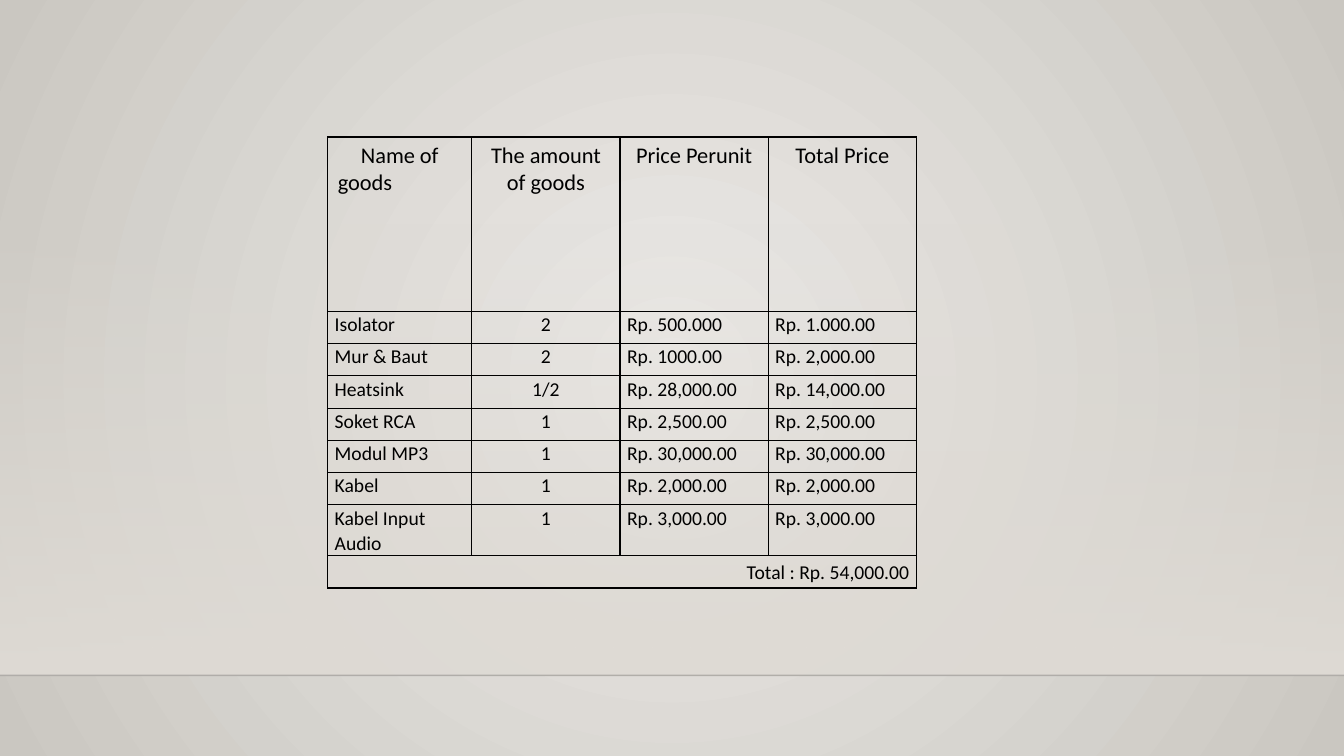
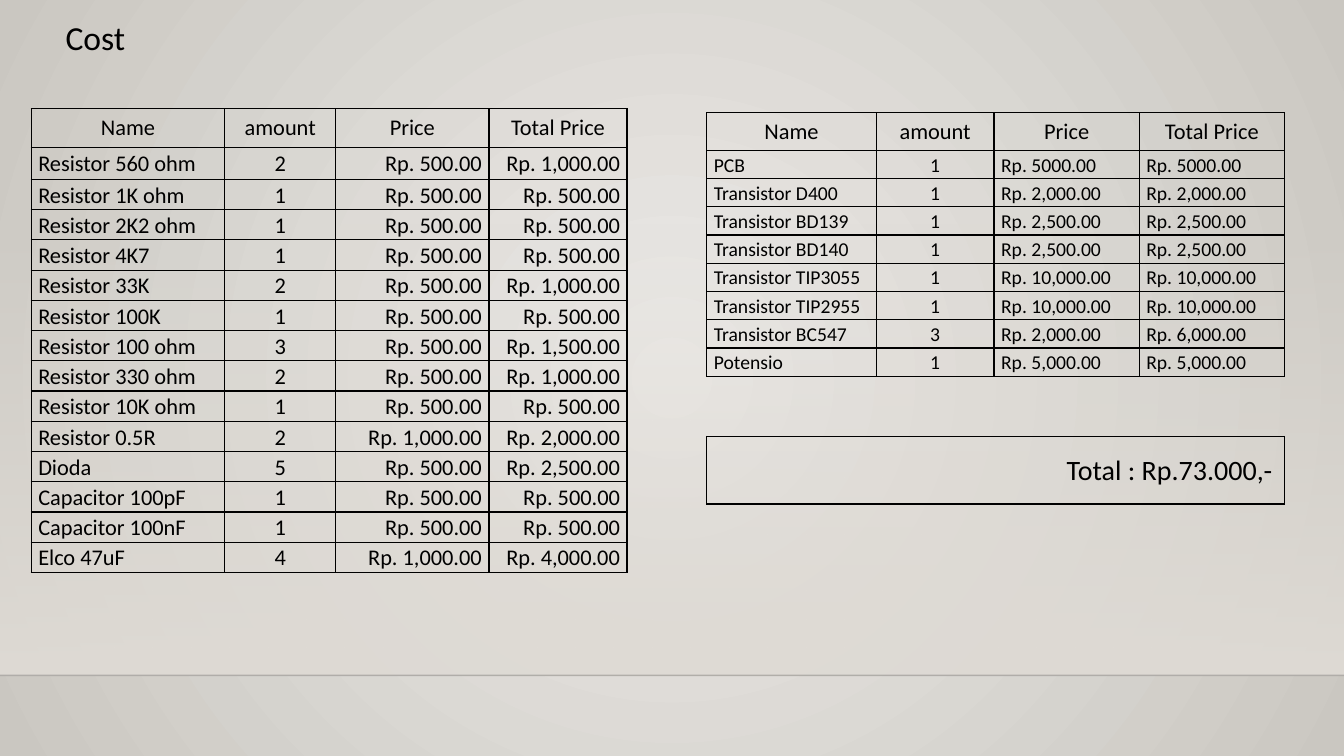
from lxml.etree import SubElement
from pptx import Presentation
from pptx.dml.color import RGBColor
from pptx.enum.shapes import MSO_CONNECTOR, MSO_SHAPE
from pptx.enum.text import MSO_ANCHOR, PP_ALIGN
from pptx.oxml import parse_xml
from pptx.oxml.ns import nsdecls, qn
from pptx.util import Inches, Pt

COLORS = {"text": "000000", "border": "000000", "glow": "ECEAE7",
          "edge": "CAC7C1", "wall": "DFDBD5", "floor": "000001"}
FONT = "Calibri"
LEFT, CENTER, RIGHT = PP_ALIGN.LEFT, PP_ALIGN.CENTER, PP_ALIGN.RIGHT
TOP, MIDDLE = MSO_ANCHOR.TOP, MSO_ANCHOR.MIDDLE

GOODS_HEAD = ("Name of\ngoods", "The amount of goods", "Price Perunit", "Total Price")
GOODS = [
    ("Isolator", "2", "Rp. 500.000", "Rp. 1.000.00"),
    ("Mur & Baut", "2", "Rp. 1000.00", "Rp. 2,000.00"),
    ("Heatsink", "1/2", "Rp. 28,000.00", "Rp. 14,000.00"),
    ("Soket RCA", "1", "Rp. 2,500.00", "Rp. 2,500.00"),
    ("Modul MP3", "1", "Rp. 30,000.00", "Rp. 30,000.00"),
    ("Kabel", "1", "Rp. 2,000.00", "Rp. 2,000.00"),
    ("Kabel Input Audio", "1", "Rp. 3,000.00", "Rp. 3,000.00"),
]
GOODS_TOTAL = "Total : Rp. 54,000.00"

COST_HEAD = ("Name", "amount", "Price", "Total Price")
PASSIVES = [
    ("Resistor 560 ohm", "2", "Rp. 500.00", "Rp. 1,000.00"),
    ("Resistor 1K ohm", "1", "Rp. 500.00", "Rp. 500.00"),
    ("Resistor 2K2 ohm", "1", "Rp. 500.00", "Rp. 500.00"),
    ("Resistor 4K7", "1", "Rp. 500.00", "Rp. 500.00"),
    ("Resistor 33K", "2", "Rp. 500.00", "Rp. 1,000.00"),
    ("Resistor 100K", "1", "Rp. 500.00", "Rp. 500.00"),
    ("Resistor 100 ohm", "3", "Rp. 500.00", "Rp. 1,500.00"),
    ("Resistor 330 ohm", "2", "Rp. 500.00", "Rp. 1,000.00"),
    ("Resistor 10K ohm", "1", "Rp. 500.00", "Rp. 500.00"),
    ("Resistor 0.5R", "2", "Rp. 1,000.00", "Rp. 2,000.00"),
    ("Dioda", "5", "Rp. 500.00", "Rp. 2,500.00"),
    ("Capacitor 100pF", "1", "Rp. 500.00", "Rp. 500.00"),
    ("Capacitor 100nF", "1", "Rp. 500.00", "Rp. 500.00"),
    ("Elco 47uF", "4", "Rp. 1,000.00", "Rp. 4,000.00"),
]
ACTIVES = [
    ("PCB", "1", "Rp. 5000.00", "Rp. 5000.00"),
    ("Transistor D400", "1", "Rp. 2,000.00", "Rp. 2,000.00"),
    ("Transistor BD139", "1", "Rp. 2,500.00", "Rp. 2,500.00"),
    ("Transistor BD140", "1", "Rp. 2,500.00", "Rp. 2,500.00"),
    ("Transistor TIP3055", "1", "Rp. 10,000.00", "Rp. 10,000.00"),
    ("Transistor TIP2955", "1", "Rp. 10,000.00", "Rp. 10,000.00"),
    ("Transistor BC547", "3", "Rp. 2,000.00", "Rp. 6,000.00"),
    ("Potensio", "1", "Rp. 5,000.00", "Rp. 5,000.00"),
]
COST_TITLE = "Cost"
COST_TOTAL = "Total : Rp.73.000,-"


def rgb(name):
    return RGBColor.from_string(COLORS[name])


def set_gradient(fill, *names):
    fill.gradient()
    for stop, name in zip(fill.gradient_stops, names):
        stop.color.rgb = rgb(name)


def set_alpha(element, percent):
    """Make the first RGB colour inside element partly transparent."""
    color = next(element.iter(qn("a:srgbClr")))
    SubElement(color, qn("a:alpha"), val=str(percent * 1000))


def style_master(prs, slide):
    """Give the master its radial background, wall band and floor line."""
    master = prs.slide_master
    set_gradient(master.background.fill, "glow", "edge")
    lin = next(master.element.iter(qn("a:lin")))
    lin.getparent().replace(lin, parse_xml(
        f'<a:path {nsdecls("a")} path="circle">'
        '<a:fillToRect l="50000" t="50000" r="50000" b="50000"/></a:path>'))

    floor_y = Inches(6.7)
    top = Inches(2.21)
    wall = slide.shapes.add_shape(MSO_SHAPE.RECTANGLE, 0, top, prs.slide_width, floor_y - top)
    wall.shadow.inherit = False
    wall.line.fill.background()
    set_gradient(wall.fill, "wall", "wall")
    wall.fill.gradient_angle = 270
    set_alpha(wall.element.spPr, 0)

    floor = slide.shapes.add_connector(MSO_CONNECTOR.STRAIGHT, 0, floor_y, prs.slide_width, floor_y)
    floor.line.color.rgb = rgb("floor")
    floor.line.width = Pt(1)
    set_alpha(floor.element.spPr, 20)
    SubElement(floor.element.spPr, qn("a:effectLst"))

    # Master shapes have no add methods, so both parts move there behind the placeholders.
    for i, sp in enumerate((wall, floor)):
        master.shapes.element.insert(2 + i, sp.element)


def format_text(tf, size, align, spacing=None):
    for p in tf.paragraphs:
        p.alignment = align
        p.line_spacing = spacing
        for r in p.runs:
            r.font.name = FONT
            r.font.size = Pt(size)
            r.font.bold = False
            r.font.color.rgb = rgb("text")


def add_grid(slide, left, top, widths, heights):
    """Add an unfilled table with thin borders round every cell."""
    table = slide.shapes.add_table(
        len(heights), len(widths), Inches(left), Inches(top),
        Inches(sum(widths)), Inches(sum(heights))).table
    table.first_row = table.horz_banding = False
    for column, width in zip(table.columns, widths):
        column.width = Inches(width)
    for row, height in zip(table.rows, heights):
        row.height = Inches(height)
    for cell in table.iter_cells():
        cell.fill.background()
        for i, side in enumerate("LRTB"):
            cell.fill._xPr.insert(i, parse_xml(
                f'<a:ln{side} {nsdecls("a")} w="{Pt(1)}"><a:solidFill>'
                f'<a:srgbClr val="{COLORS["border"]}"/></a:solidFill></a:ln{side}>'))
    return table


def fill_cell(cell, text, size, align, anchor):
    cell.text_frame.text = text
    cell.vertical_anchor = anchor
    cell.margin_left = cell.margin_right = Inches(0.07)
    cell.margin_top = cell.margin_bottom = 0
    format_text(cell.text_frame, size, align, 1.07)


def fill_table(table, head, rows, size, price_align, anchor):
    for cell, text in zip(table.rows[0].cells, head):
        cell.text_frame.text = text
        format_text(cell.text_frame, 16, CENTER)
    aligns = (LEFT, CENTER, price_align, price_align)
    for r, row in enumerate(rows, 1):
        for c, (text, align) in enumerate(zip(row, aligns)):
            fill_cell(table.cell(r, c), text, size, align, anchor)


def build_goods(slide):
    heights = [1.73] + [0.32] * 6 + [0.5, 0.32]
    table = add_grid(slide, 3.25, 1.36, [1.43] + [1.47] * 3, heights)
    fill_table(table, GOODS_HEAD, GOODS, 14, LEFT, TOP)
    table.cell(0, 0).text_frame.paragraphs[1].alignment = LEFT
    total = table.cell(len(heights) - 1, 0)
    total.merge(table.cell(len(heights) - 1, 3))
    fill_cell(total, GOODS_TOTAL, 14, RIGHT, MIDDLE)


def build_cost(slide):
    title = slide.shapes.title
    title.left, title.top, title.width, title.height = map(Inches, (0.55, 0.12, 1, 0.5))
    tf = title.text_frame
    tf.text = COST_TITLE
    tf.vertical_anchor = TOP
    format_text(tf, 24, LEFT)

    table = add_grid(slide, 0.31, 1.08, [1.92, 1.1, 1.52, 1.37],
                     [0.38, 0.32] + [0.3] * (len(PASSIVES) - 1))
    fill_table(table, COST_HEAD, PASSIVES, 16, RIGHT, MIDDLE)

    right_x = 7.01
    widths = [1.68, 1.17, 1.44, 1.44]
    table = add_grid(slide, right_x, 1.12, widths, [0.37] + [0.28] * len(ACTIVES))
    fill_table(table, COST_HEAD, ACTIVES, 14, LEFT, MIDDLE)

    total = add_grid(slide, right_x, 4.33, [sum(widths)], [0.67]).cell(0, 0)
    fill_cell(total, COST_TOTAL, 20, LEFT, MIDDLE)
    total.margin_left = Inches(3.57)


def main():
    prs = Presentation()
    prs.slide_width, prs.slide_height = Inches(13.33), Inches(7.5)
    title_only, blank = prs.slide_layouts[5], prs.slide_layouts[6]
    goods = prs.slides.add_slide(blank)
    style_master(prs, goods)
    build_goods(goods)
    build_cost(prs.slides.add_slide(title_only))
    prs.save("out.pptx")


if __name__ == "__main__":
    main()
